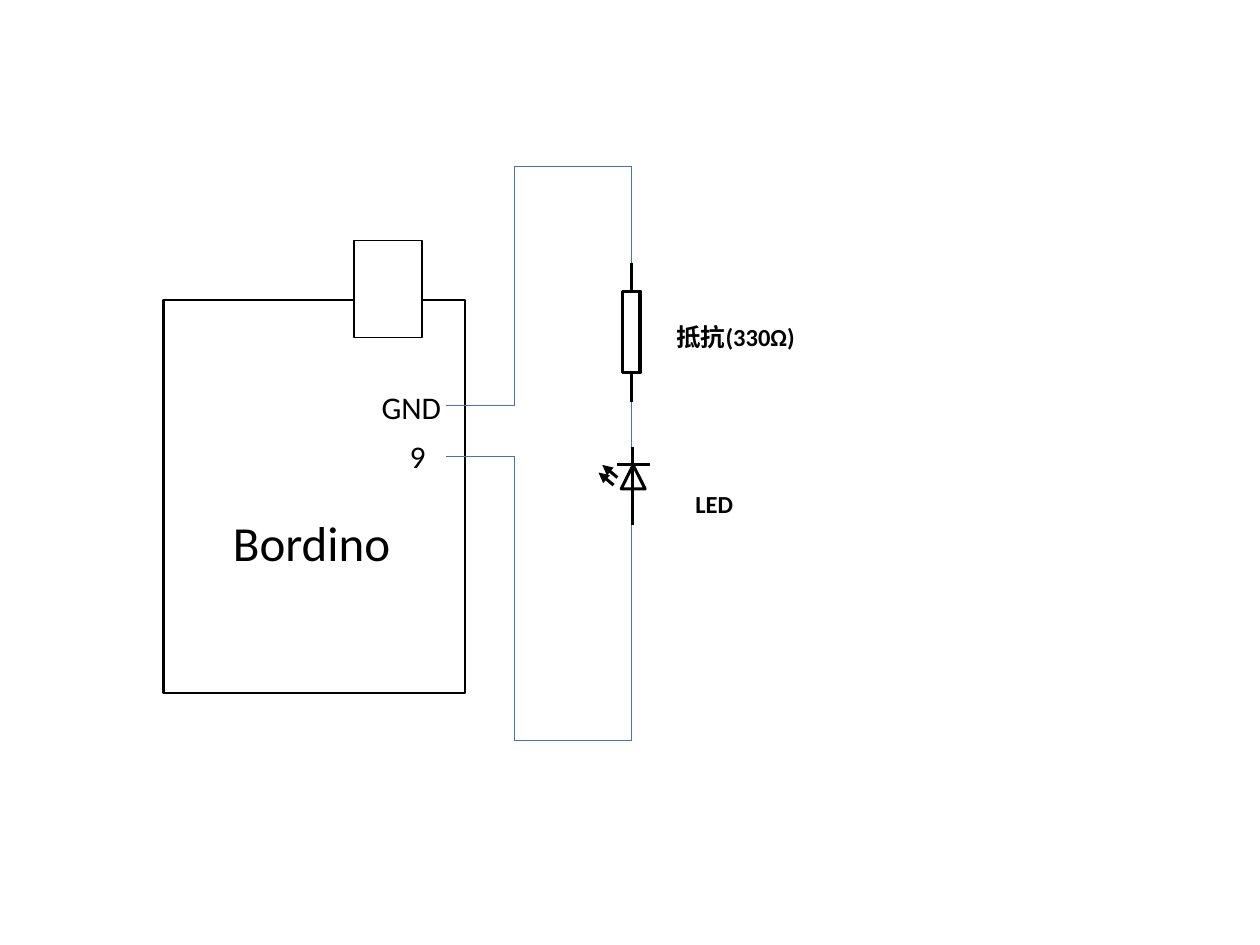
from dataclasses import dataclass
from typing import Any, Optional

from lxml.etree import SubElement
from pptx import Presentation
from pptx.dml.color import RGBColor
from pptx.enum.shapes import MSO_CONNECTOR, MSO_SHAPE
from pptx.enum.text import MSO_AUTO_SIZE
from pptx.oxml.ns import qn
from pptx.util import Inches, Pt

BLACK, WHITE, BLUE = "000000", "FFFFFF", "4472C4"
FONT = "Calibri"
THICK, THIN = 1.75, 0.5
PIN_X, LEFT_X, RIGHT_X = 3.54, 4.08, 5.01  # pins, left and right wire columns
TOP_Y, LOW_Y = 1.32, 5.88
GND_Y, NINE_Y = 3.22, 3.62

Point = tuple[float, float]


@dataclass
class Box:
    x: float
    y: float
    w: float
    h: float
    line: float = THICK
    fill: Optional[str] = None
    kind: MSO_SHAPE = MSO_SHAPE.RECTANGLE


@dataclass
class Label:
    text: str
    x: float
    y: float
    w: float
    h: float
    size: int
    bold: bool = False
    wrap: bool = True
    inset: float = 0.1


def paint(color: Any, code: str) -> None:
    color.rgb = RGBColor.from_string(code)


def draw_box(shapes: Any, box: Box) -> Any:
    shape = shapes.add_shape(box.kind, Inches(box.x), Inches(box.y),
                             Inches(box.w), Inches(box.h))
    shape.shadow.inherit = False
    if box.fill:
        shape.fill.solid()
        paint(shape.fill.fore_color, box.fill)
    else:
        shape.fill.background()
    shape.line.width = Pt(box.line)
    paint(shape.line.color, BLACK)
    return shape


def draw_line(shapes: Any, start: Point, end: Point, width: float = THICK,
              code: str = BLACK, arrow: bool = False) -> Any:
    line = shapes.add_connector(MSO_CONNECTOR.STRAIGHT,
                                Inches(start[0]), Inches(start[1]),
                                Inches(end[0]), Inches(end[1]))
    line.line.width = Pt(width)
    paint(line.line.color, code)
    if arrow:
        SubElement(line.line._get_or_add_ln(), qn("a:tailEnd"), type="triangle")
    SubElement(line._element.spPr, qn("a:effectLst"))
    return line


def draw_wire(shapes: Any, points: list[Point]) -> None:
    for start, end in zip(points, points[1:]):
        draw_line(shapes, start, end, THIN, BLUE)


def draw_label(shapes: Any, label: Label) -> None:
    frame = shapes.add_textbox(Inches(label.x), Inches(label.y),
                               Inches(label.w), Inches(label.h)).text_frame
    frame.word_wrap = label.wrap
    frame.auto_size = MSO_AUTO_SIZE.SHAPE_TO_FIT_TEXT
    frame.margin_left = Inches(label.inset)
    frame.text = label.text
    font = frame.paragraphs[0].runs[0].font
    font.name, font.size, font.bold = FONT, Pt(label.size), label.bold
    paint(font.color, BLACK)


def draw_resistor(shapes: Any) -> None:
    body = draw_box(shapes, Box(4.94, 2.31, 0.14, 0.65))
    for side, near, far in ((0, 2.31, 2.09), (2, 2.96, 3.19)):
        lead = draw_line(shapes, (RIGHT_X, near), (RIGHT_X, far))
        lead.begin_connect(body, side)


def draw_diode(shapes: Any) -> None:
    draw_line(shapes, (5.02, 4.17), (5.02, 3.55))
    draw_line(shapes, (4.9, 3.69), (5.16, 3.69))
    draw_box(shapes, Box(4.93, 3.69, 0.19, 0.19,
                         kind=MSO_SHAPE.ISOSCELES_TRIANGLE))
    for x, y in ((4.9, 3.79), (4.87, 3.85)):
        draw_line(shapes, (x, y), (x - 0.12, y - 0.1), arrow=True)


BOXES = [
    Box(1.3, 2.38, 2.39, 3.12, 1.5, WHITE),  # board
    Box(2.81, 1.91, 0.54, 0.77, 1, WHITE),  # socket
]
WIRES = [
    [(PIN_X, GND_Y), (LEFT_X, GND_Y), (LEFT_X, TOP_Y),
     (RIGHT_X, TOP_Y), (RIGHT_X, 2.11)],
    [(RIGHT_X, 3.1), (RIGHT_X, 3.58)],
    [(PIN_X, NINE_Y), (LEFT_X, NINE_Y), (LEFT_X, LOW_Y),
     (RIGHT_X, LOW_Y), (RIGHT_X, 4.16)],
]
LABELS = [
    Label("Bordino", 1.75, 4.02, 1.48, 0.57, 28, wrap=False),
    Label("9", 3.04, 3.42, 0.82, 0.4, 18, inset=0.21),
    Label("GND", 2.93, 3.03, 0.82, 0.4, 18),
    Label("抵抗(330Ω)", 5.27, 2.51, 1.22, 0.34, 14, bold=True),
    Label("LED", 5.42, 3.83, 1.22, 0.34, 14, bold=True),
]


def main() -> None:
    deck = Presentation()
    deck.slide_width, deck.slide_height = Inches(10), Inches(7.5)
    shapes = deck.slides.add_slide(deck.slide_layouts[6]).shapes

    # Board and wiring
    for box in BOXES:
        draw_box(shapes, box)
    for wire in WIRES:
        draw_wire(shapes, wire)

    # Parts, one group each
    for draw in (draw_resistor, draw_diode):
        draw(shapes.add_group_shape().shapes)

    # Names
    for label in LABELS:
        draw_label(shapes, label)

    deck.save("out.pptx")


if __name__ == "__main__":
    main()
